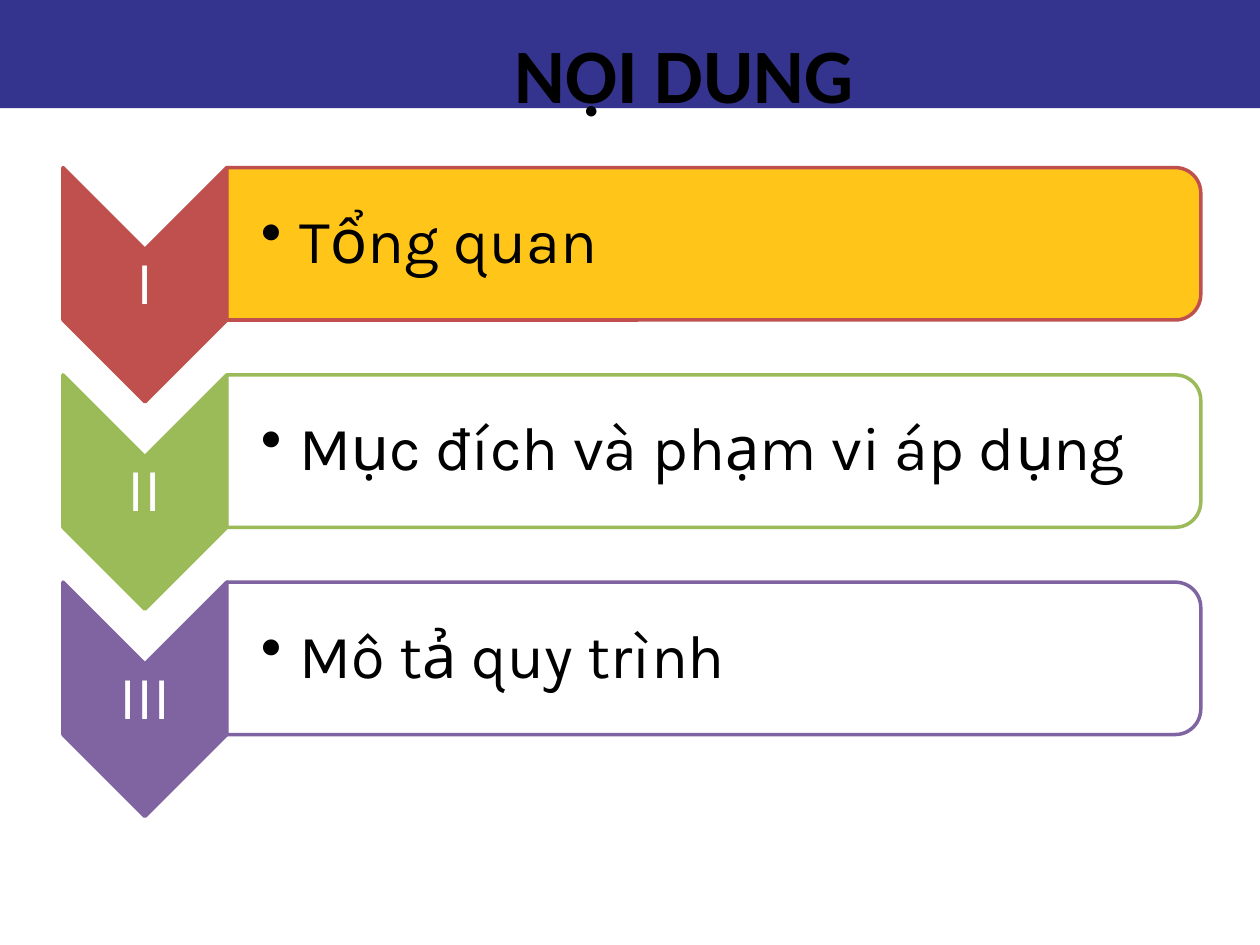
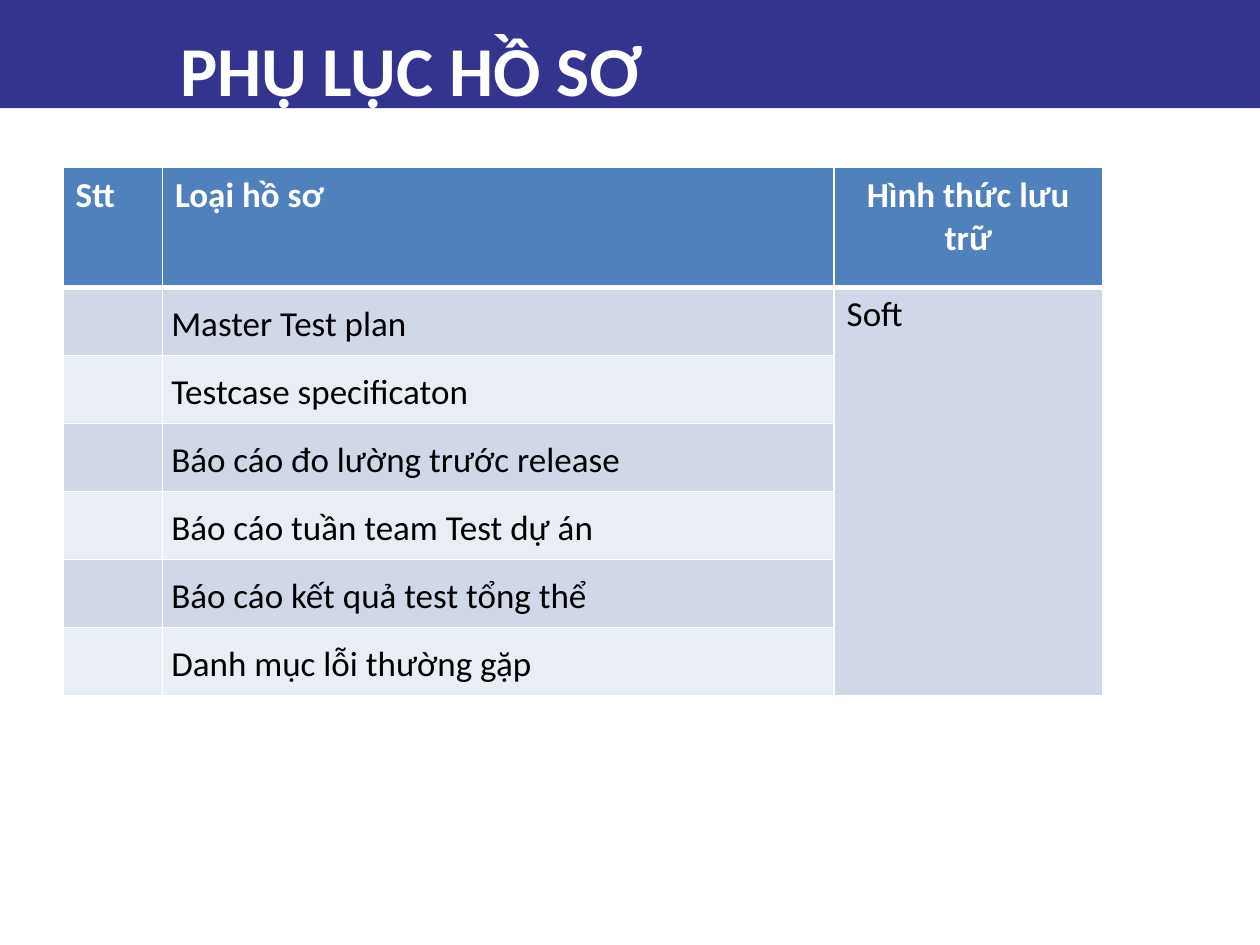
from lxml.etree import SubElement
from pptx import Presentation
from pptx.dml.color import RGBColor
from pptx.enum.shapes import MSO_SHAPE as Shape
from pptx.enum.text import MSO_ANCHOR as Anchor, MSO_AUTO_SIZE as AutoSize, PP_ALIGN as Align
from pptx.oxml.ns import qn
from pptx.util import Inches, Pt

BAND, WHITE, BLACK, AMBER = "34348F", "FFFFFF", "000000", "FFC000"
HEADER, STRIPES = "4F81BD", ("D0D8E8", "E9EDF4")
TITLE_FONT, AGENDA_FONT = "Calibri", "Karla"

AGENDA = [
    ("I", "Tổng quan", "C0504D", AMBER),
    ("II", "Mục đích và phạm vi áp dụng", "9BBB59", WHITE),
    ("III", "Mô tả quy trình", "8064A2", WHITE),
]
AGENDA_TOP, AGENDA_STEP = 1.33, 1.645
AGENDA_LEFT, PANEL_LEFT = 0.5, 1.8
CHEVRON_LENGTH, CHEVRON_WIDTH = 1.86, 1.3
PANEL_LENGTH, PANEL_HEIGHT = 7.73, 1.21

COLUMNS = ["Stt", "Loại hồ sơ", "Hình thức lưu trữ"]
COLUMN_WIDTHS = [0.79, 5.33, 2.13]
HEADER_HEIGHT, ROW_HEIGHT = 0.95, 0.54
RECORDS = [
    "Master Test plan",
    "Testcase specificaton",
    "Báo cáo đo lường trước release",
    "Báo cáo tuần team Test dự án",
    "Báo cáo kết quả test tổng thể",
    "Danh mục lỗi thường gặp",
]


def color(value):
    return RGBColor.from_string(value)


def paint(target, value):
    target.fill.solid()
    target.fill.fore_color.rgb = color(value)


def write(frame, text, size, font, ink, bold=False, align=Align.LEFT):
    frame.text = text
    para = frame.paragraphs[0]
    para.alignment = align
    span = para.runs[0].font
    span.size, span.name, span.bold = Pt(size), font, bold
    span.color.rgb = color(ink)
    return para


def add_band(layout, page):
    band = page.shapes.add_shape(Shape.RECTANGLE, 0, 0, Inches(10), Inches(0.86))
    band.shadow.inherit = False
    paint(band, BAND)
    band.line.fill.background()
    layout.shapes.element.insert(2, band.element)


def set_title(page, text, size, ink, align):
    title = page.shapes.title
    title.left, title.top = Inches(1.33), Inches(0.16)
    title.width, title.height = Inches(8.2), Inches(1.02)
    frame = title.text_frame
    frame.auto_size = AutoSize.NONE
    frame.vertical_anchor = Anchor.TOP
    write(frame, text, size, TITLE_FONT, ink, True, align)


def add_turned(page, kind, left, top, width, height, fill, line):
    shape = page.shapes.add_shape(
        kind, Inches(left + (width - height) / 2), Inches(top + (height - width) / 2),
        Inches(height), Inches(width))
    shape.rotation = 90
    shape.shadow.inherit = False
    paint(shape, fill)
    shape.line.color.rgb = color(line)
    shape.line.width = Pt(2)
    return shape


def add_label(page, left, top, width, height, text, inset, ink, align):
    box = page.shapes.add_textbox(Inches(left), Inches(top), Inches(width), Inches(height))
    frame = box.text_frame
    frame.word_wrap = True
    frame.vertical_anchor = Anchor.MIDDLE
    frame.margin_top = frame.margin_right = frame.margin_bottom = Inches(0.02)
    frame.margin_left = Inches(inset)
    para = write(frame, text, 35, AGENDA_FONT, ink, align=align)
    para.line_spacing = 0.9
    return para


def add_bullet(para):
    properties = para._p.get_or_add_pPr()
    properties.set("marL", str(Inches(0.31)))
    properties.set("indent", str(Inches(-0.31)))
    SubElement(properties, qn("a:buChar"), char="•")


def set_alpha(shape, percent):
    shade = shape.element.spPr.find(qn("a:solidFill"))[0]
    SubElement(shade, qn("a:alpha"), val=str(percent * 1000))


def add_agenda_row(page, top, numeral, topic, accent, fill):
    add_turned(page, Shape.CHEVRON, AGENDA_LEFT, top,
               CHEVRON_WIDTH, CHEVRON_LENGTH, accent, accent)
    add_label(page, AGENDA_LEFT, top + 0.65, CHEVRON_WIDTH, 0.56,
              numeral, 0.02, WHITE, Align.CENTER)
    panel = add_turned(page, Shape.ROUND_2_SAME_RECTANGLE, PANEL_LEFT, top,
                       PANEL_LENGTH, PANEL_HEIGHT, fill, accent)
    set_alpha(panel, 90)
    add_bullet(add_label(page, PANEL_LEFT, top + 0.06, 7.67, 1.09,
                         topic, 0.27, BLACK, Align.LEFT))


def style_cell(cell, fill, bottom=1):
    properties = cell._tc.get_or_add_tcPr()
    for side, width in (("L", 1), ("R", 1), ("T", 1), ("B", bottom)):
        border = SubElement(properties, qn(f"a:ln{side}"), w=str(Pt(width)))
        SubElement(SubElement(border, qn("a:solidFill")), qn("a:srgbClr"), val=WHITE)
    paint(cell, fill)


def write_record(cell, text):
    cell.vertical_anchor = Anchor.MIDDLE
    cell.margin_left = cell.margin_right = Inches(0.07)
    cell.margin_top = cell.margin_bottom = 0
    para = write(cell.text_frame, text, 20, TITLE_FONT, BLACK)
    para.line_spacing = 1.15
    para.space_before = para.space_after = Pt(3)


def add_records_table(page):
    table = page.shapes.add_table(
        len(RECORDS) + 1, len(COLUMNS), Inches(0.5), Inches(1.33),
        Inches(sum(COLUMN_WIDTHS)), Inches(HEADER_HEIGHT + ROW_HEIGHT * len(RECORDS))).table
    table.rows[0].height = Inches(HEADER_HEIGHT)
    for index, (heading, width) in enumerate(zip(COLUMNS, COLUMN_WIDTHS)):
        table.columns[index].width = Inches(width)
        cell = table.cell(0, index)
        style_cell(cell, HEADER, bottom=3)
        align = Align.CENTER if index == 2 else Align.LEFT
        write(cell.text_frame, heading, 20, TITLE_FONT, WHITE, True, align)
    for row, record in enumerate(RECORDS, 1):
        table.rows[row].height = Inches(ROW_HEIGHT)
        stripe = STRIPES[(row - 1) % 2]
        for column, fill in enumerate((stripe, stripe, STRIPES[0])):
            style_cell(table.cell(row, column), fill)
        write_record(table.cell(row, 1), record)
    storage = table.cell(1, 2)
    storage.merge(table.cell(len(RECORDS), 2))
    write(storage.text_frame, "Soft", 20, TITLE_FONT, BLACK)


def main():
    deck = Presentation()
    deck.slide_width, deck.slide_height = Inches(10), Inches(7.5)
    layout = deck.slide_layouts[5]

    agenda = deck.slides.add_slide(layout)
    add_band(layout, agenda)
    set_title(agenda, "NỘI DUNG", 44, BLACK, Align.CENTER)
    for index, entry in enumerate(AGENDA):
        add_agenda_row(agenda, AGENDA_TOP + index * AGENDA_STEP, *entry)

    appendix = deck.slides.add_slide(layout)
    set_title(appendix, "PHỤ LỤC HỒ SƠ", 40, WHITE, Align.LEFT)
    add_records_table(appendix)

    deck.save("out.pptx")


if __name__ == "__main__":
    main()
